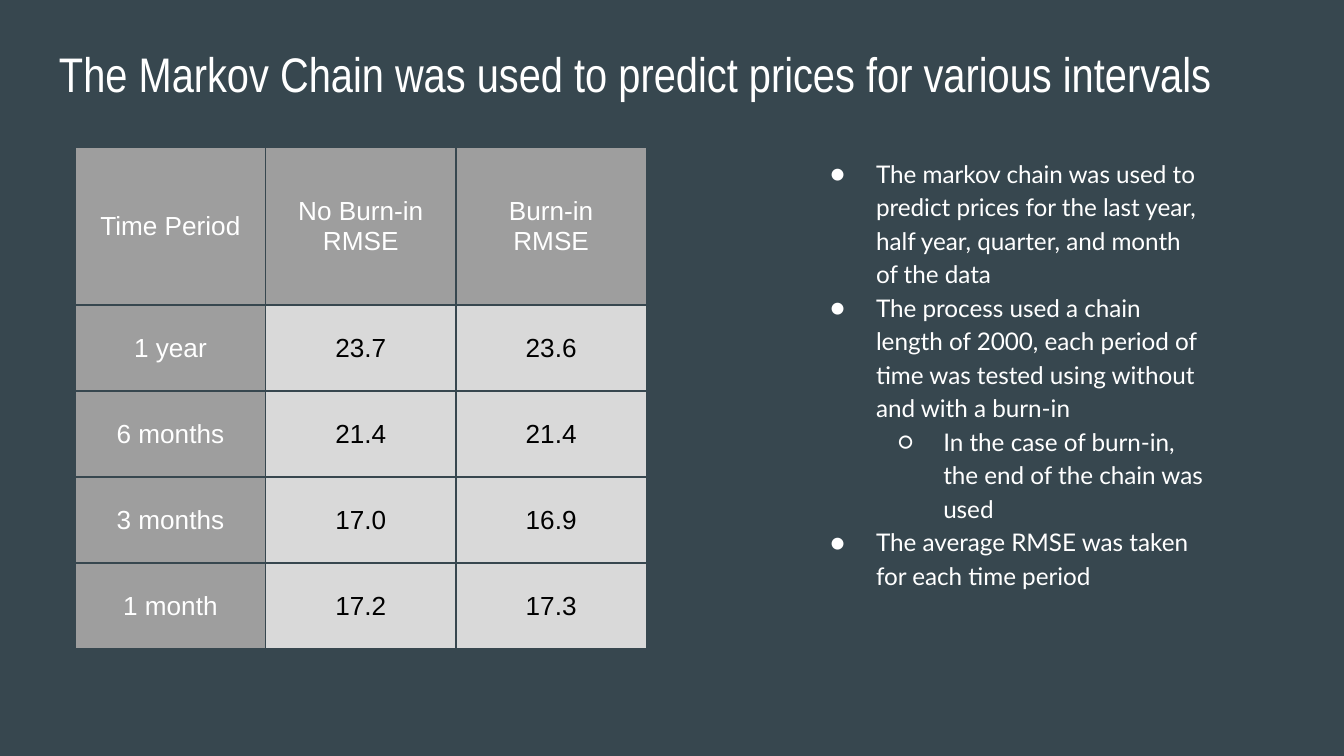
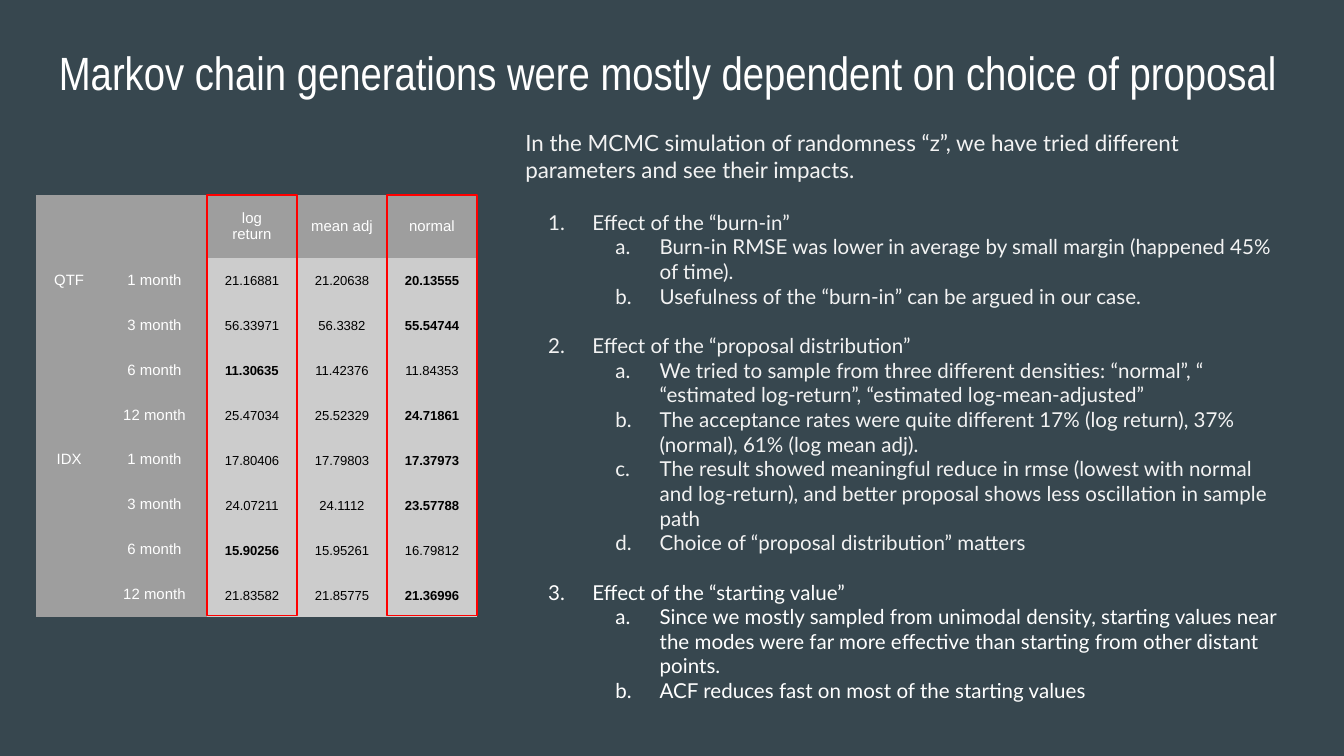
from dataclasses import dataclass
from typing import Optional

from lxml.etree import SubElement
from pptx import Presentation
from pptx.dml.color import RGBColor
from pptx.enum.shapes import MSO_SHAPE as Shape
from pptx.enum.text import MSO_ANCHOR as Anchor, PP_ALIGN as Align
from pptx.oxml.ns import qn
from pptx.util import Inches, Pt

BACKGROUND = "37474F"
WHITE = "FFFFFF"
SOFT_WHITE = "F3F3F3"
BLACK = "000000"
HEADER_GREY = "9E9E9E"
HIGHLIGHT = "FF0000"
TITLE_FONT, BODY_FONT, TABLE_FONT = "Arial Narrow", "Lato", "Arial"
INSET = Inches(0.1)


@dataclass(frozen=True)
class Box:
    left: float
    top: float
    width: float
    height: float

    def lengths(self):
        return [Inches(v) for v in (self.left, self.top, self.width, self.height)]


@dataclass(frozen=True)
class Item:
    text: str
    level: Optional[int] = 0
    size: float = 11
    color: str = SOFT_WHITE
    space_before: float = 0


@dataclass(frozen=True)
class Marker:
    tag: str
    attribute: str
    values: tuple
    hang: float


@dataclass(frozen=True)
class TableLook:
    label_size: float
    value_size: float
    value_fill: str
    label_columns: int
    border: Optional[str] = None
    value_spacing: float = 1.0
    bold_lowest: bool = False


DOTS = Marker("a:buChar", "char", ("●", "○"), 0.34)
NUMBERS = Marker("a:buAutoNum", "type", ("arabicPeriod", "alphaLcPeriod"), 0.33)
TITLE_BOX = Box(0.34, 0.23, 9.32, 0.63)


def rgb(color: str) -> RGBColor:
    return RGBColor.from_string(color)


def style_text(paragraph, font: str, size: float, color: str, bold: bool = False) -> None:
    for run in paragraph.runs:
        run.font.name = font
        run.font.size = Pt(size)
        run.font.bold = bold
        run.font.color.rgb = rgb(color)


def add_frame(slide, box: Box):
    frame = slide.shapes.add_textbox(*box.lengths()).text_frame
    frame.word_wrap = True
    frame.margin_left = frame.margin_right = INSET
    frame.margin_top = frame.margin_bottom = INSET
    return frame


def add_titled_slide(deck, title: str, size: float):
    slide = deck.slides.add_slide(deck.slide_layouts[6])
    slide.background.fill.solid()
    slide.background.fill.fore_color.rgb = rgb(BACKGROUND)
    frame = add_frame(slide, TITLE_BOX)
    frame.text = title
    style_text(frame.paragraphs[0], TITLE_FONT, size, WHITE)
    return slide


def mark_item(paragraph, item: Item, marker: Marker) -> None:
    paragraph.level = item.level
    properties = paragraph._p.get_or_add_pPr()
    properties.set("marL", str(Inches(0.5 * (item.level + 1))))
    properties.set("indent", str(-Inches(marker.hang)))
    marker_color = SubElement(properties, qn("a:buClr"))
    SubElement(marker_color, qn("a:srgbClr"), val=item.color)
    SubElement(properties, qn("a:buFont"), typeface=BODY_FONT)
    SubElement(properties, qn(marker.tag), {marker.attribute: marker.values[item.level]})


def add_items(slide, box: Box, items: list[Item], marker: Marker, spacing: float) -> None:
    frame = add_frame(slide, box)
    for index, item in enumerate(items):
        paragraph = frame.add_paragraph() if index else frame.paragraphs[0]
        paragraph.text = item.text
        paragraph.line_spacing = spacing
        paragraph.space_before = Pt(item.space_before)
        style_text(paragraph, BODY_FONT, item.size, item.color)
        if item.level is not None:
            mark_item(paragraph, item, marker)


def set_borders(cell, color: Optional[str]) -> None:
    properties = cell._tc.get_or_add_tcPr()
    for side in ("L", "R", "T", "B"):
        line = SubElement(properties, qn(f"a:ln{side}"), w=str(Pt(0.75)))
        if color:
            SubElement(SubElement(line, qn("a:solidFill")), qn("a:srgbClr"), val=color)
        else:
            SubElement(line, qn("a:noFill"))


def fill_cell(cell, text: str, look: TableLook, is_label: bool, bold: bool) -> None:
    set_borders(cell, look.border)
    cell.fill.solid()
    cell.fill.fore_color.rgb = rgb(HEADER_GREY if is_label else look.value_fill)
    cell.vertical_anchor = Anchor.MIDDLE
    cell.margin_left = cell.margin_right = INSET
    cell.margin_top = cell.margin_bottom = INSET
    paragraph = cell.text_frame.paragraphs[0]
    size = look.label_size if is_label else look.value_size
    if not text:
        ending = SubElement(paragraph._p, qn("a:endParaRPr"), sz=str(Pt(look.value_size).centipoints))
        SubElement(ending, qn("a:latin"), typeface=TABLE_FONT)
        return
    paragraph.text = text
    paragraph.alignment = Align.CENTER
    paragraph.line_spacing = 1.0 if is_label else look.value_spacing
    style_text(paragraph, TABLE_FONT, size, WHITE if is_label else BLACK, bold)


def add_grid(slide, box: Box, widths: list[float], heights: list[float],
             rows: list[tuple], look: TableLook) -> None:
    grid = slide.shapes.add_table(len(rows), len(widths), *box.lengths())
    table = grid.table
    table.first_row = table.horz_banding = False
    for column, width in zip(table.columns, widths):
        column.width = Inches(width)
    for row_index, (row, height) in enumerate(zip(rows, heights)):
        table.rows[row_index].height = Inches(height)
        values = row[look.label_columns:]
        lowest = min(values, key=float) if row_index and look.bold_lowest else None
        for column_index, text in enumerate(row):
            is_label = row_index == 0 or column_index < look.label_columns
            bold = not is_label and text == lowest
            fill_cell(table.cell(row_index, column_index), text, look, is_label, bold)
    grid.width, grid.height = Inches(box.width), Inches(box.height)


def add_highlight(slide, box: Box) -> None:
    outline = slide.shapes.add_shape(Shape.RECTANGLE, *box.lengths())
    outline.shadow.inherit = False
    outline.fill.background()
    outline.line.color.rgb = rgb(HIGHLIGHT)
    outline.line.width = Pt(0.75)


def build_intervals(deck) -> None:
    slide = add_titled_slide(
        deck, "The Markov Chain was used to predict prices for various intervals", 26)
    points = [
        ("The markov chain was used to predict prices for the last year, half year, "
         "quarter, and month of the data", 0),
        ("The process used a chain length of 2000, each period of time was tested "
         "using without and with a burn-in", 0),
        ("In the case of burn-in, the end of the chain was used", 1),
        ("The average RMSE was taken for each time period", 0),
    ]
    items = [Item(text, level, 13, WHITE) for text, level in points]
    add_items(slide, Box(5.92, 1.05, 3.15, 3.52), items, DOTS, 1.15)
    rows = [
        ("Time Period", "No Burn-in RMSE", "Burn-in RMSE"),
        ("1 year", "23.7", "23.6"),
        ("6 months", "21.4", "21.4"),
        ("3 months", "17.0", "16.9"),
        ("1 month", "17.2", "17.3"),
    ]
    look = TableLook(14, 14, "D9D9D9", label_columns=1, border=BACKGROUND)
    box = Box(0.56, 1.1, 4.25, 3.73)
    add_grid(slide, box, [box.width / 3] * 3, [1.17] + [0.64] * 4, rows, look)


def build_proposals(deck) -> None:
    slide = add_titled_slide(
        deck, "Markov chain generations were mostly dependent on choice of proposal", 25)
    sections = [
        ("Effect of the “burn-in”", SOFT_WHITE, 14.4, [
            "Burn-in RMSE was lower in average by small margin (happened 45% of time).",
            "Usefulness of the “burn-in” can be argued in our case.",
        ]),
        ("Effect of the “proposal distribution”", SOFT_WHITE, 13.2, [
            "We tried to sample from three different densities: “normal”, “ "
            "“estimated log-return”, “estimated log-mean-adjusted”",
            "The acceptance rates were quite different 17% (log return), 37% (normal), "
            "61% (log mean adj).",
            "The result showed meaningful reduce in rmse (lowest with normal and "
            "log-return), and better proposal shows less oscillation in sample path",
            "Choice of “proposal distribution” matters",
        ]),
        ("Effect of the “starting value”", WHITE, 13.2, [
            "Since we mostly sampled from unimodal density, starting values near the "
            "modes were far more effective than starting from other distant points.",
            "ACF reduces fast on most of the starting values",
        ]),
    ]
    items = [Item("In the MCMC simulation of randomness “z”, we have tried different "
                  "parameters and see their impacts.", None, 12)]
    for heading, color, gap, findings in sections:
        items.append(Item(heading, color=color, space_before=gap))
        items += [Item(finding, 1, color=color) for finding in findings]
    add_items(slide, Box(3.81, 0.86, 5.85, 4.48), items, NUMBERS, 1.0)

    box = Box(0.27, 1.45, 3.27, 3.13)
    widths = [0.49, 0.78] + [0.67] * 3
    rows = [
        ("", "", "log return", "mean adj", "normal"),
        ("QTF", "1 month", "21.16881", "21.20638", "20.13555"),
        ("", "3 month", "56.33971", "56.3382", "55.54744"),
        ("", "6 month", "11.30635", "11.42376", "11.84353"),
        ("", "12 month", "25.47034", "25.52329", "24.71861"),
        ("IDX", "1 month", "17.80406", "17.79803", "17.37973"),
        ("", "3 month", "24.07211", "24.1112", "23.57788"),
        ("", "6 month", "15.90256", "15.95261", "16.79812"),
        ("", "12 month", "21.83582", "21.85775", "21.36996"),
    ]
    look = TableLook(8, 7, "CCCCCC", label_columns=2, value_spacing=1.15, bold_lowest=True)
    add_grid(slide, box, widths, [0.45] + [0.32] * 8, rows, look)
    for column in (4, 2):
        left = box.left + sum(widths[:column])
        add_highlight(slide, Box(left, box.top, widths[column], box.height))


def main() -> None:
    deck = Presentation()
    deck.slide_width = Inches(10)
    deck.slide_height = deck.slide_width * 9 // 16
    build_intervals(deck)
    build_proposals(deck)
    deck.save("out.pptx")


if __name__ == "__main__":
    main()
